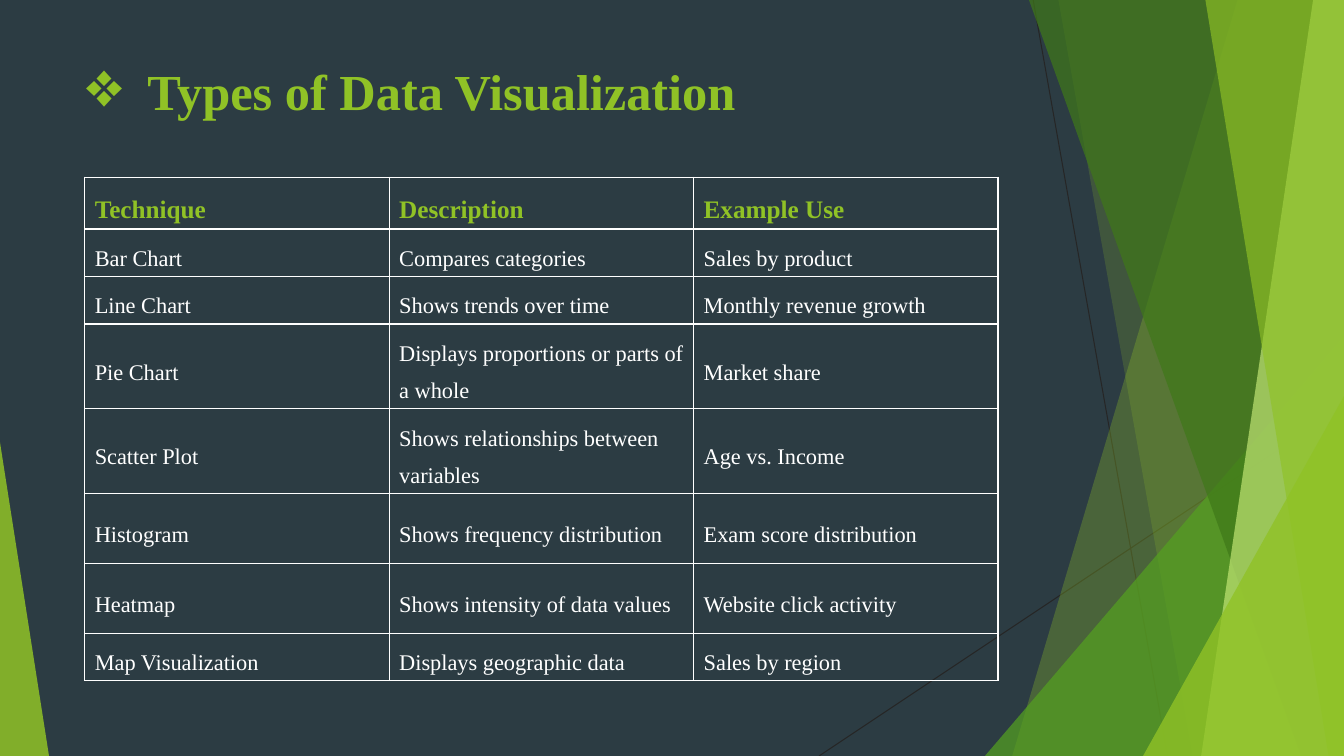
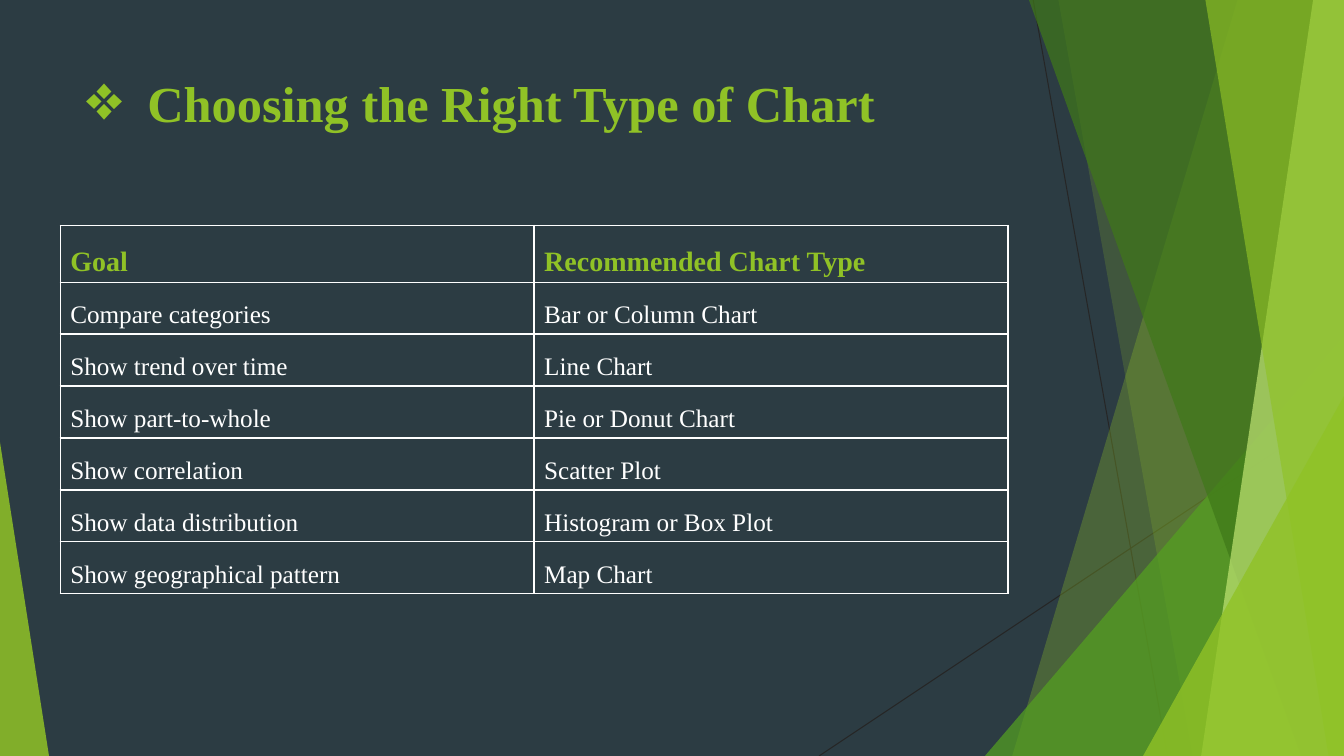
from lxml import etree
from pptx import Presentation
from pptx import util as u
from pptx.dml.color import RGBColor
from pptx.enum import shapes, text
from pptx.oxml.ns import qn

Pt = u.Pt
WIDTH, HEIGHT = 960, 540
FONT = "Times New Roman"
SLATE = RGBColor(0x2C, 0x3C, 0x43)
LIME = RGBColor(0x90, 0xC2, 0x26)
GREEN = RGBColor(0x54, 0xA0, 0x21)
FOREST = RGBColor(0x3F, 0x78, 0x19)
PALE_LIME = RGBColor(0xC0, 0xE4, 0x74)
CHARCOAL = RGBColor(0x26, 0x26, 0x26)
WHITE = RGBColor(0xFF, 0xFF, 0xFF)

TECHNIQUES = [
    ("Technique", "Description", "Example Use"),
    ("Bar Chart", "Compares categories", "Sales by product"),
    ("Line Chart", "Shows trends over time", "Monthly revenue growth"),
    ("Pie Chart", "Displays proportions or parts of a whole", "Market share"),
    ("Scatter Plot", "Shows relationships between variables", "Age vs. Income"),
    ("Histogram", "Shows frequency distribution", "Exam score distribution"),
    ("Heatmap", "Shows intensity of data values", "Website click activity"),
    ("Map Visualization", "Displays geographic data", "Sales by region"),
]
GOALS = [
    ("Goal", "Recommended Chart Type"),
    ("Compare categories", "Bar or Column Chart"),
    ("Show trend over time", "Line Chart"),
    ("Show part-to-whole", "Pie or Donut Chart"),
    ("Show correlation", "Scatter Plot"),
    ("Show data distribution", "Histogram or Box Plot"),
    ("Show geographical pattern", "Map Chart"),
]


def paint(facet, color, opacity):
    facet.shadow.inherit = False
    facet.line.fill.background()
    facet.fill.solid()
    facet.fill.fore_color.rgb = color
    for tint in facet.element.spPr.iter(qn("a:srgbClr")):
        etree.SubElement(tint, qn("a:alpha"), val=str(opacity * 1000))
    return facet


def add_ray(slide, x1, y1, x2, y2):
    ray = slide.shapes.add_connector(
        shapes.MSO_CONNECTOR.STRAIGHT, Pt(x1), Pt(y1), Pt(x2), Pt(y2))
    ray.line.color.rgb = CHARCOAL
    ray.line.width = Pt(0.75)
    etree.SubElement(ray.element.spPr, qn("a:effectLst"))
    return ray


def add_band(slide, top_left, bottom_left, color, opacity):
    outline = slide.shapes.build_freeform(Pt(top_left), 0)
    outline.add_line_segments(
        [(Pt(x), Pt(y)) for x, y in
         ((WIDTH, 0), (WIDTH, HEIGHT), (bottom_left, HEIGHT))])
    return paint(outline.convert_to_shape(), color, opacity)


def add_corner(slide, left, top, right, apex, color, opacity):
    corner = slide.shapes.add_shape(
        shapes.MSO_SHAPE.ISOSCELES_TRIANGLE,
        Pt(left), Pt(top), Pt(right - left), Pt(HEIGHT - top))
    corner.adjustments[0] = apex
    return paint(corner, color, opacity)


def decorate(layout, slide):
    layout.background.fill.solid()
    layout.background.fill.fore_color.rgb = SLATE
    facets = [
        add_ray(slide, 738, 0, 834, HEIGHT),
        add_ray(slide, WIDTH, 290, 585, HEIGHT),
        add_band(slide, 884, 723, LIME, 30),
        add_band(slide, 756, 852, LIME, 20),
        add_corner(slide, 703.5, 240, WIDTH, 1, GREEN, 72),
        add_band(slide, 735, 929.5, FOREST, 70),
        add_band(slide, 938, 858, PALE_LIME, 70),
        add_band(slide, 861, 949, LIME, 65),
        add_corner(slide, 816.5, 283, WIDTH, 1, LIME, 80),
        add_corner(slide, 0, 316, 35, 0, LIME, 85),
    ]
    for order, facet in enumerate(facets):
        next(facet.element.iter(qn("p:cNvPr"))).set("id", str(100 + order))
        layout.shapes.element.insert(2 + order, facet.element)


def style(paragraph, size, color, bold):
    paragraph.font.name = FONT
    paragraph.font.size = Pt(size)
    paragraph.font.bold = bold
    paragraph.font.color.rgb = color


def set_title(slide, wording, top, height):
    title = slide.shapes.title
    title.left, title.top = Pt(53), Pt(top)
    title.width, title.height = Pt(677), Pt(height)
    frame = title.text_frame
    frame.text = wording
    frame.word_wrap = True
    frame.auto_size = text.MSO_AUTO_SIZE.NONE
    frame.vertical_anchor = text.MSO_ANCHOR.TOP
    heading = frame.paragraphs[0]
    heading.alignment = text.PP_ALIGN.LEFT
    style(heading, 36, LIME, True)
    props = heading._p.get_or_add_pPr()
    props.set("marL", str(Pt(45)))
    props.set("indent", str(-Pt(45)))
    bullet_font = etree.Element(qn("a:buFont"), typeface=FONT)
    bullet = etree.Element(qn("a:buChar"), char="❖")
    props.insert(0, bullet_font)
    props.insert(1, bullet)


def add_borders(grid):
    for props in grid.element.iter(qn("a:tcPr")):
        for order, side in enumerate(("lnL", "lnR", "lnT", "lnB")):
            edge = etree.Element(qn(f"a:{side}"), w=str(Pt(1)))
            fill = etree.SubElement(edge, qn("a:solidFill"))
            etree.SubElement(fill, qn("a:srgbClr"), val=str(WHITE))
            props.insert(order, edge)


def add_grid(slide, rows, left, top, width, heights, header_size, body_size):
    columns = len(rows[0])
    grid = slide.shapes.add_table(
        len(rows), columns, Pt(left), Pt(top), Pt(width), Pt(sum(heights)))
    table = grid.table
    table.horz_banding = False
    for column in table.columns:
        column.width = Pt(width / columns)
    for r, (entries, height) in enumerate(zip(rows, heights)):
        table.rows[r].height = Pt(height)
        for c, entry in enumerate(entries):
            cell = table.cell(r, c)
            cell.text = entry
            cell.vertical_anchor = text.MSO_ANCHOR.MIDDLE
            cell.fill.background()
            line = cell.text_frame.paragraphs[0]
            line.line_spacing = 1.5
            if r == 0:
                style(line, header_size, LIME, True)
            else:
                style(line, body_size, WHITE, False)
    add_borders(grid)


def main():
    deck = Presentation()
    deck.slide_width, deck.slide_height = Pt(WIDTH), Pt(HEIGHT)
    layout = deck.slide_layouts[5]

    types = deck.slides.add_slide(layout)
    decorate(layout, types)
    set_title(types, "Types of Data Visualization", 39, 62)
    add_grid(types, TECHNIQUES, 60.5, 126.5, 652.5,
             [36, 33, 33, 60, 60, 50, 50, 33], 18, 16)

    choosing = deck.slides.add_slide(layout)
    set_title(choosing, "Choosing the Right Type of Chart", 48, 104)
    add_grid(choosing, GOALS, 43, 161, 677, [40] + [37] * 6, 20, 18)

    deck.save("out.pptx")


if __name__ == "__main__":
    main()
